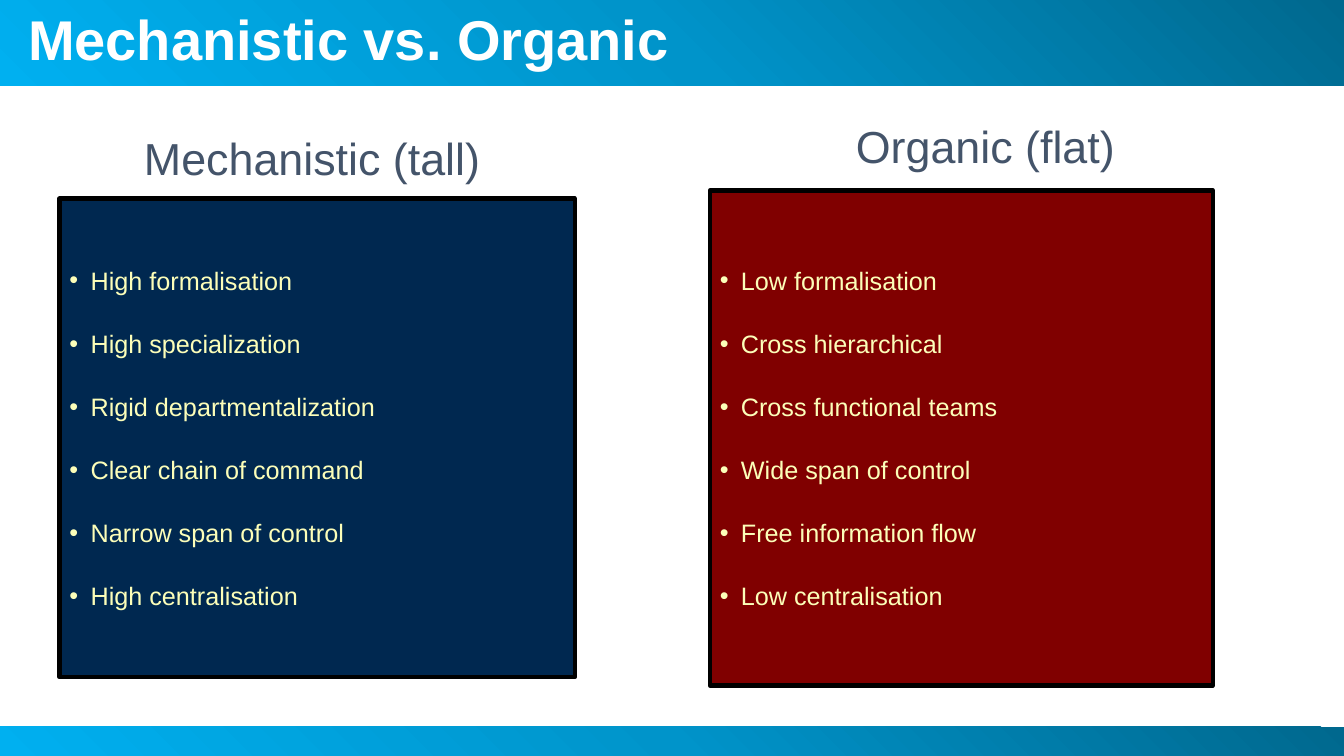
from copy import deepcopy
from lxml import etree
from pptx import Presentation, util as u
from pptx.dml.color import RGBColor
from pptx.enum import shapes, text
from pptx.oxml import ns

WHITE = RGBColor(0xFF, 0xFF, 0xFF)
BLACK = RGBColor(0, 0, 0)
SLATE = RGBColor(0x44, 0x54, 0x6A)
CREAM = RGBColor(0xFC, 0xFE, 0xB9)
NAVY = RGBColor(0x00, 0x28, 0x50)
MAROON = RGBColor(0x80, 0, 0)
BLUES = [RGBColor(0, 0x68, 0x8E), RGBColor(0, 0x94, 0xCA), RGBColor(0, 0xB0, 0xF0)]
WIDE, HIGH = 13.33, 7.5

deck = Presentation()
deck.slide_width, deck.slide_height = u.Inches(WIDE), u.Inches(HIGH)
slide = deck.slides.add_slide(deck.slide_layouts[6])


def block(x, y, w, h):
    box = slide.shapes.add_shape(shapes.MSO_SHAPE.RECTANGLE, *map(u.Inches, (x, y, w, h)))
    box.shadow.inherit = False
    return box


def write(par, words, size, color, bold=False):
    run = par.add_run()
    run.text = words
    font = run.font
    font.name, font.size, font.bold = "Arial", u.Pt(size), bold
    font.color.rgb = color


# Gradient bands at top and bottom
for y, h in [(0, 0.85), (HIGH - 0.29, 0.29)]:
    band = block(0, y, WIDE, h)
    band.line.fill.background()
    band.fill.gradient()
    band.fill.gradient_angle = 225
    first = band.fill._fill._gradFill.gsLst[0]
    first.addnext(deepcopy(first))
    for i, (stop, blue) in enumerate(zip(band.fill.gradient_stops, BLUES)):
        stop.color.rgb = blue
        stop.position = i / 2

# Title
title = slide.shapes.add_textbox(*map(u.Inches, (0.18, 0.14, 7.82, 0.57))).text_frame
title.word_wrap = True
title.vertical_anchor = text.MSO_ANCHOR.MIDDLE
title.paragraphs[0].line_spacing = 0.9
write(title.paragraphs[0], "Mechanistic vs. Organic", 40, WHITE, True)

# Two columns: heading above a bulleted panel
sides = [
    ("Mechanistic (tall)", (1.33, 1.25, 3.56, 0.64), (0.59, 1.97, 5.11, 4.75), NAVY,
     ["High formalisation", "High specialization", "Rigid departmentalization",
      "Clear chain of command", "Narrow span of control", "High centralisation"]),
    ("Organic (flat)", (8.39, 1.13, 2.79, 0.64), (7.04, 1.89, 4.99, 4.91), MAROON,
     ["Low formalisation", "Cross hierarchical", "Cross functional teams",
      "Wide span of control", "Free information flow", "Low centralisation"]),
]
for name, spot, area, color, points in sides:
    head = slide.shapes.add_textbox(*map(u.Inches, spot)).text_frame
    head.word_wrap = False
    write(head.paragraphs[0], name, 32, SLATE)

    panel = block(*area)
    panel.fill.solid()
    panel.fill.fore_color.rgb = color
    panel.line.color.rgb = BLACK
    panel.line.width = u.Pt(3)
    body = panel.text_frame
    body.word_wrap = True
    body.vertical_anchor = text.MSO_ANCHOR.MIDDLE
    for i, point in enumerate(points):
        par = body.add_paragraph() if i else body.paragraphs[0]
        par.alignment = text.PP_ALIGN.LEFT
        if i:
            par.space_before = u.Pt(23.5)
        # Hanging bullet
        props = par._p.get_or_add_pPr()
        props.set("marL", str(u.Inches(0.21)))
        props.set("indent", str(-u.Inches(0.21)))
        etree.SubElement(props, ns.qn("a:buFont")).set("typeface", "Arial")
        etree.SubElement(props, ns.qn("a:buChar")).set("char", "•")
        write(par, point, 18, CREAM)

deck.save("out.pptx")
